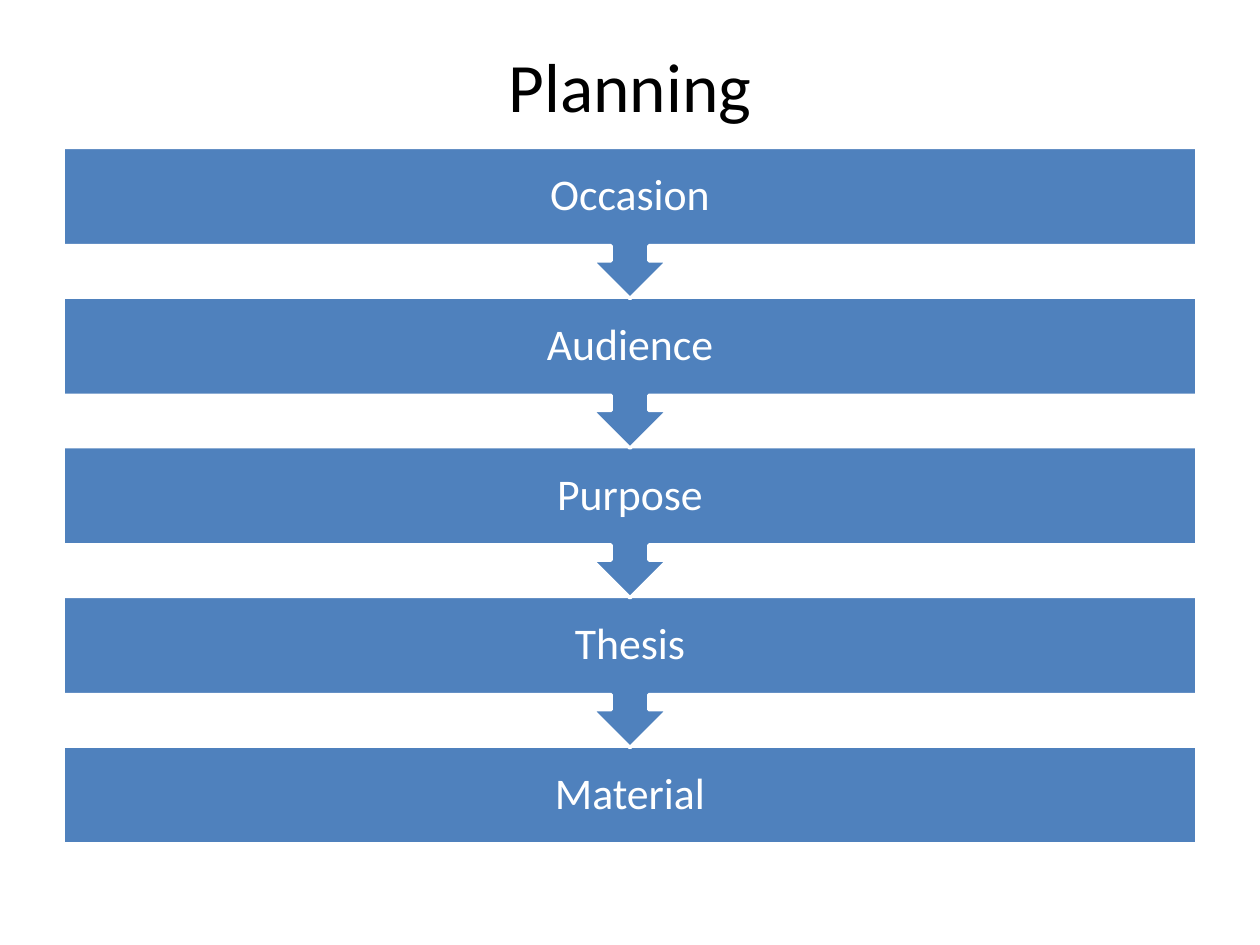
from pptx import Presentation
from pptx.dml.color import RGBColor
from pptx.enum.shapes import MSO_SHAPE
from pptx.enum.text import MSO_ANCHOR, MSO_AUTO_SIZE, PP_ALIGN
from pptx.util import Inches, Pt

RECT, CALLOUT = MSO_SHAPE.RECTANGLE, MSO_SHAPE.UP_ARROW_CALLOUT
MIDDLE, CENTER = MSO_ANCHOR.MIDDLE, PP_ALIGN.CENTER
NO_FIT = MSO_AUTO_SIZE.NONE
TITLE_ONLY = 5

STEPS = ["Occasion", "Audience", "Purpose", "Thesis", "Material"]


def rgb(value):
    return RGBColor.from_string(value)


class StepSlide:
    """Vertical chain of full-width steps, one per grid row."""
    font, ink, paper, accent = "Calibri", "000000", "FFFFFF", "4F81BD"
    left, width = 0.5, 9
    first_top, last_top = 1.17, 5.92
    bar_height, callout_height = 0.78, 1.2

    def __init__(self, prs, rows):
        self.s = prs.slides.add_slide(prs.slide_layouts[TITLE_ONLY])
        self.pitch = (self.last_top - self.first_top) / (rows - 1)
        self.group = self.s.shapes.add_group_shape()

    def box(self, row, height):
        top = self.first_top + row * self.pitch
        return [Inches(v) for v in (self.left, top, self.width, height)]

    def set_text(self, tf, text, size, color):
        tf.word_wrap = True
        tf.auto_size = NO_FIT
        tf.vertical_anchor = MIDDLE
        p = tf.paragraphs[0]
        p.text = text
        p.alignment = CENTER
        p.font.name = self.font
        p.font.size = Pt(size)
        p.font.color.rgb = rgb(color)
        return p

    def title(self, text):
        sp = self.s.shapes.title
        sp.left, sp.top = Inches(self.left), Inches(0.5)
        sp.width, sp.height = Inches(self.width), Inches(0.95)
        # The deep bottom inset lifts the title clear of the first step.
        sp.text_frame.margin_bottom = Inches(0.65)
        self.set_text(sp.text_frame, text, 39.6, self.ink)

    def bar(self, row, kind, height, rotation=0):
        sp = self.group.shapes.add_shape(kind, *self.box(row, height))
        sp.rotation = rotation
        sp.shadow.inherit = False
        sp.fill.solid()
        sp.fill.fore_color.rgb = rgb(self.accent)
        sp.line.color.rgb = rgb(self.paper)
        sp.line.width = Pt(2)

    def label(self, row, text):
        tf = self.group.shapes.add_textbox(*self.box(row, self.bar_height)).text_frame
        tf.margin_left = tf.margin_right = Inches(0.19)
        tf.margin_top = tf.margin_bottom = Inches(0.19)
        p = self.set_text(tf, text, 25, self.paper)
        p.line_spacing = 0.9

    def step(self, row, text, last):
        if last:
            self.bar(row, RECT, self.bar_height)
        else:
            self.bar(row, CALLOUT, self.callout_height, rotation=180)
        self.label(row, text)


def main():
    prs = Presentation()
    prs.slide_width, prs.slide_height = Inches(10), Inches(7.5)
    slide = StepSlide(prs, len(STEPS))
    slide.title("Planning")
    # Bottom step first, so that each arrow lies over the step below it.
    for row in reversed(range(len(STEPS))):
        slide.step(row, STEPS[row], last=row == len(STEPS) - 1)
    prs.save("out.pptx")


if __name__ == "__main__":
    main()
